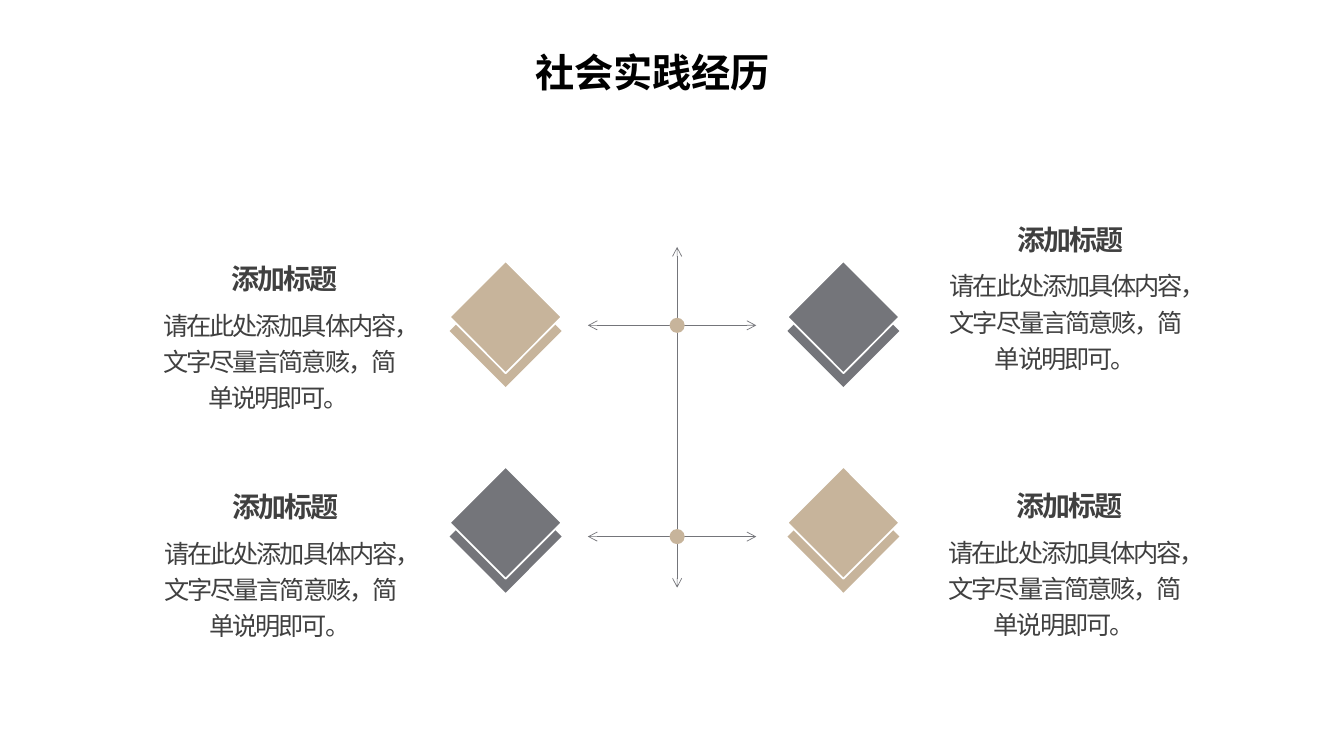
from dataclasses import dataclass

from lxml.etree import SubElement
from pptx import Presentation
from pptx.dml.color import RGBColor
from pptx.enum.shapes import MSO_CONNECTOR, MSO_SHAPE
from pptx.enum.text import MSO_AUTO_SIZE, PP_ALIGN
from pptx.oxml.ns import qn
from pptx.util import Inches, Pt


@dataclass(frozen=True)
class Theme:
    font: str = "Calibri"
    sand: RGBColor = RGBColor(0xC7, 0xB4, 0x9B)
    slate: RGBColor = RGBColor(0x74, 0x75, 0x7A)
    white: RGBColor = RGBColor(0xFF, 0xFF, 0xFF)
    black: RGBColor = RGBColor(0x00, 0x00, 0x00)
    ink: RGBColor = RGBColor(0x40, 0x40, 0x40)
    title_size: Pt = Pt(28)
    heading_size: Pt = Pt(20)
    body_size: Pt = Pt(18)
    tracking: str = "-150"  # hundredths of a point
    diamond_line: Pt = Pt(1.25)
    axis_line: Pt = Pt(0.5)


@dataclass(frozen=True)
class Box:
    left: float
    top: float
    width: float
    height: float

    def region(self, left, top, width, height):
        """Return the box that covers the given shares of this one."""
        return Box(self.left + left * self.width, self.top + top * self.height,
                   width * self.width, height * self.height)

    def percent(self, *shares):
        return self.region(*(share / 100 for share in shares))

    def place(self):
        return [round(length) for length in (self.left, self.top, self.width, self.height)]


THEME = Theme()
PAGE = Box(0, 0, Inches(13.33), Inches(7.5))
DOT_SIZE = 0.02 * PAGE.height
HEADING = "添加标题"
BODY = "请在此处添加具体内容，文字尽量言简意赅，简单说明即可。"


def apply_format(target, values):
    for name, value in values.items():
        setattr(target, name, value)


def add_text(slide, box, text, color, font, paragraph_format, wrap=True, tracking=None):
    shape = slide.shapes.add_textbox(*box.place())
    apply_format(shape.text_frame,
                 {"word_wrap": wrap, "auto_size": MSO_AUTO_SIZE.SHAPE_TO_FIT_TEXT})
    paragraph = shape.text_frame.paragraphs[0]
    apply_format(paragraph, paragraph_format)
    run = paragraph.add_run()
    run.text = text
    apply_format(run.font, {"name": THEME.font, **font})
    run.font.color.rgb = color
    if tracking:
        run.font._element.set("spc", tracking)


def add_solid(slide, kind, box, color, outline=None):
    shape = slide.shapes.add_shape(kind, *box.place())
    shape.shadow.inherit = False
    shape.fill.solid()
    shape.fill.fore_color.rgb = color
    if outline is None:
        shape.line.fill.background()
    else:
        shape.line.color.rgb = outline
        shape.line.width = THEME.diamond_line


def add_double_arrow(slide, start, end):
    points = [round(value) for value in (*start, *end)]
    connector = slide.shapes.add_connector(MSO_CONNECTOR.STRAIGHT, *points)
    connector.line.color.rgb = THEME.slate
    connector.line.width = THEME.axis_line
    properties = connector._element.spPr
    line = properties.find(qn("a:ln"))
    for end_name in ("a:headEnd", "a:tailEnd"):
        SubElement(line, qn(end_name)).set("type", "arrow")
    SubElement(properties, qn("a:effectLst"))


def add_title(slide, box):
    add_text(slide, box, "社会实践经历", THEME.black,
             {"size": THEME.title_size, "bold": True}, {}, wrap=False)


def add_diamond_stack(slide, box, color):
    # The outlined diamond lies over the lower one
    for top, outline in ((0.11, None), (0, THEME.white)):
        add_solid(slide, MSO_SHAPE.DIAMOND, box.region(0, top, 1, 0.89), color, outline)


def add_axis(slide, box):
    center = box.left + 0.53 * box.width
    branches = [box.top + share * box.height for share in (0.23, 0.85)]
    # Trunk and branches
    add_double_arrow(slide, (center, box.top), (center, box.top + box.height))
    for level in branches:
        add_double_arrow(slide, (box.left, level), (box.left + box.width, level))
    # Dots at the crossings
    for level in branches:
        dot = Box(center - DOT_SIZE / 2, level - DOT_SIZE / 2, DOT_SIZE, DOT_SIZE)
        add_solid(slide, MSO_SHAPE.OVAL, dot, THEME.sand)


def add_caption(slide, box):
    add_text(slide, box.region(0, 0.33, 1, 0.67), BODY, THEME.ink,
             {"size": THEME.body_size},
             {"alignment": PP_ALIGN.CENTER, "line_spacing": 1.2}, tracking=THEME.tracking)
    add_text(slide, box.region(0.04, 0, 0.96, 0.31), HEADING, THEME.ink,
             {"size": THEME.heading_size, "bold": True},
             {"alignment": PP_ALIGN.CENTER, "line_spacing": 1.5}, tracking=THEME.tracking)


def main():
    presentation = Presentation()
    apply_format(presentation, {"slide_width": PAGE.width, "slide_height": PAGE.height})
    slide = presentation.slides.add_slide(presentation.slide_layouts[6])

    # Diamonds on a two by two grid, colours alternating
    for column, left in enumerate((33.46, 58.59)):
        for row, top in enumerate((34.53, 61.73)):
            color = (THEME.sand, THEME.slate)[(column + row) % 2]
            add_diamond_stack(slide, PAGE.percent(left, top, 8.33, 16.67), color)

    # Axis between the columns
    add_axis(slide, PAGE.percent(43.74, 32.67, 12.53, 45.07))

    # Captions on both sides
    for left, top in ((69.32, 26.53), (69.24, 61.73), (10.8, 31.73), (10.88, 61.87)):
        add_caption(slide, PAGE.percent(left, top, 19.88, 23.73))

    add_title(slide, PAGE.percent(39.08, 5.73, 18.98, 7.6))
    presentation.save("out.pptx")


if __name__ == "__main__":
    main()
